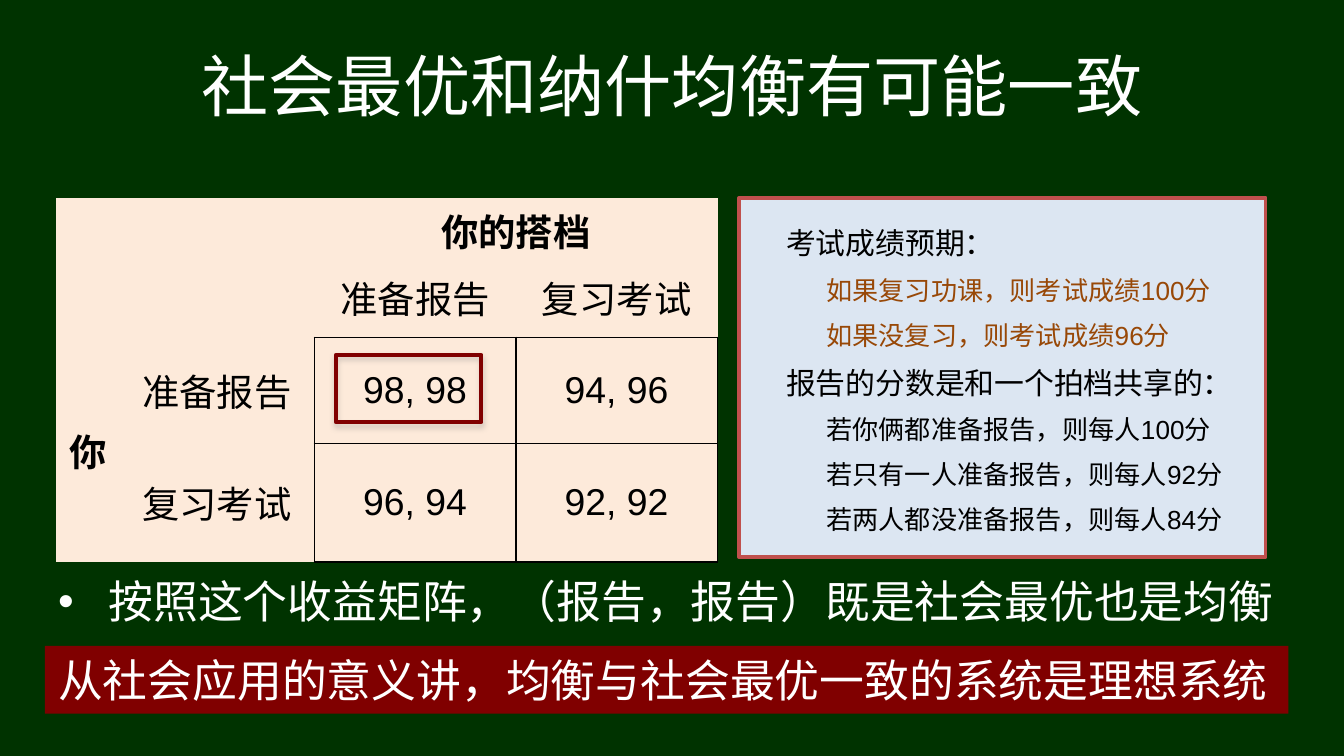
"""Build the slide on social optimum and Nash equilibrium."""
from dataclasses import dataclass

from lxml import etree
from pptx import Presentation
from pptx import util as u
from pptx.dml.color import RGBColor
from pptx.enum import shapes, text
from pptx.oxml import ns


@dataclass(frozen=True)
class Theme:
    font: str = "Arial"
    background: str = "003300"
    light: str = "FFFFFF"
    dark: str = "000000"
    matrix: str = "FDEADA"
    panel: str = "DCE6F2"
    panel_line: str = "C0504D"
    accent: str = "800000"
    exam: str = "984807"
    title: int = 36
    body: int = 24
    cell: int = 20
    heading: int = 16
    detail: int = 14


@dataclass(frozen=True)
class Box:
    left: float
    top: float
    width: float
    height: float

    def lengths(self) -> list:
        return [u.Cm(v) for v in (self.left, self.top, self.width, self.height)]


@dataclass(frozen=True)
class Note:
    words: str
    level: int
    color: str


T = Theme()
NOTES = [
    Note("考试成绩预期：", 1, T.dark),
    Note("如果复习功课，则考试成绩100分", 2, T.exam),
    Note("如果没复习，则考试成绩96分", 2, T.exam),
    Note("报告的分数是和一个拍档共享的：", 1, T.dark),
    Note("若你俩都准备报告，则每人100分", 2, T.dark),
    Note("若只有一人准备报告，则每人92分", 2, T.dark),
    Note("若两人都没准备报告，则每人84分", 2, T.dark),
]
MATRIX = [
    ["", "", "你的搭档", ""],
    ["", "", "准备报告", "复习考试"],
    ["你", "准备报告", "98, 98", "94, 96"],
    ["", "复习考试", "96, 94", "92, 92"],
]
COLUMNS = [1.2, 3.68, 3.81, 3.81]
ROWS = [1.1, 1.54, 2, 2.24]
NO_STYLE = "{2D5ABB26-0587-4C30-8999-92F81FD0307C}"


def child(parent, tag: str, **attributes):
    return etree.SubElement(parent, ns.qn(tag), attributes)


def write(p, words: str, *, size: int, color: str, bold: bool = False,
          align=text.PP_ALIGN.LEFT, level: int = 0, margin: float = 0,
          bullet: str = "", before: float = 0, spacing: float = 1) -> None:
    p.alignment, p.level, p.line_spacing = align, level, spacing
    if before:
        p.space_before = u.Pt(before)
    pPr = p._p.get_or_add_pPr()
    pPr.set("marL", str(u.Cm(margin)))
    pPr.set("indent", str(-u.Cm(margin) if bullet else 0))
    if bullet:
        child(pPr, "a:buFont", typeface=T.font)
        child(pPr, "a:buChar", char=bullet)
    r = p.add_run()
    r.text = words
    r.font.name, r.font.size, r.font.bold = T.font, u.Pt(size), bold
    r.font.color.rgb = RGBColor.from_string(color)


def add_text(s, box: Box, words: str, anchor=text.MSO_ANCHOR.TOP, **style) -> None:
    tf = s.shapes.add_textbox(*box.lengths()).text_frame
    tf.word_wrap, tf.vertical_anchor = True, anchor
    write(tf.paragraphs[0], words, color=T.light, **style)


def add_rect(s, box: Box, fill: str = "", line: str = "", width: float = 1):
    sp = s.shapes.add_shape(shapes.MSO_SHAPE.RECTANGLE, *box.lengths())
    sp.shadow.inherit = False
    if fill:
        sp.fill.solid()
        sp.fill.fore_color.rgb = RGBColor.from_string(fill)
    else:
        sp.fill.background()
    if line:
        sp.line.color.rgb = RGBColor.from_string(line)
        sp.line.width = u.Pt(width)
    else:
        sp.line.fill.background()
    sp.text_frame.vertical_anchor = text.MSO_ANCHOR.TOP
    return sp


def cell_sides(row: int, col: int) -> str:
    if row >= 2 and col >= 2:
        return "LRTB"
    if row == 1 and col >= 2:
        return "B"
    return "R" if row >= 2 and col == 1 else ""


def add_matrix(s, box: Box) -> None:
    frame = s.shapes.add_table(len(ROWS), len(COLUMNS), *box.lengths())
    table = frame.table
    table.first_row = table.horz_banding = False
    next(table._tbl.iter(ns.qn("a:tableStyleId"))).text = NO_STYLE
    for column, width in zip(table.columns, COLUMNS):
        column.width = u.Cm(width)
    for row, height in zip(table.rows, ROWS):
        row.height = u.Cm(height)
    table.cell(0, 2).merge(table.cell(0, 3))
    table.cell(2, 0).merge(table.cell(3, 0))
    for i, words_in_row in enumerate(MATRIX):
        for j, words in enumerate(words_in_row):
            cell = table.cell(i, j)
            cell.vertical_anchor = text.MSO_ANCHOR.MIDDLE
            cell.margin_top = cell.margin_bottom = u.Cm(0.1)
            for side in cell_sides(i, j):
                ln = child(cell._tc.get_or_add_tcPr(), f"a:ln{side}", w=str(u.Pt(1)))
                child(child(ln, "a:solidFill"), "a:srgbClr", val=T.dark)
            cell.fill.solid()
            cell.fill.fore_color.rgb = RGBColor.from_string(T.matrix)
            if words:
                write(cell.text_frame.paragraphs[0], words, size=T.cell, color=T.dark,
                      bold=cell.is_merge_origin, align=text.PP_ALIGN.CENTER)


def add_notes(s, box: Box) -> None:
    tf = add_rect(s, box, T.panel, T.panel_line, 2).text_frame
    tf.word_wrap = True
    tf.margin_left = tf.margin_right = 0
    tf.margin_top = tf.margin_bottom = u.Cm(0.38)
    for i, note in enumerate(NOTES):
        p = tf.add_paragraph() if i else tf.paragraphs[0]
        write(p, note.words, size=T.heading if note.level == 1 else T.detail,
              color=note.color, level=note.level, spacing=1.2,
              margin=0.89 if note.level == 1 else 1.65, before=3.8 if i else 0)


def add_highlight(s, box: Box) -> None:
    sp = add_rect(s, box, line=T.accent, width=2.25)
    effects = sp._element.spPr.find(ns.qn("a:effectLst"))
    shadow = child(effects, "a:outerShdw", blurRad=str(u.Pt(3.1)),
                   dist=str(u.Pt(1.8)), dir="5400000", rotWithShape="0")
    color = child(shadow, "a:srgbClr", val="808080")
    child(color, "a:alpha", val="35000")


def main() -> None:
    prs = Presentation()
    prs.slide_width, prs.slide_height = u.Cm(25.4), u.Cm(14.29)
    s = prs.slides.add_slide(prs.slide_layouts[6])
    s.background.fill.solid()
    s.background.fill.fore_color.rgb = RGBColor.from_string(T.background)
    add_text(s, Box(1.27, 0.58, 22.86, 2.06), "社会最优和纳什均衡有可能一致",
             text.MSO_ANCHOR.MIDDLE, size=T.title, align=text.PP_ALIGN.CENTER)
    add_text(s, Box(0.85, 10.72, 23.93, 1.7),
             "按照这个收益矩阵，（报告，报告）既是社会最优也是均衡",
             size=T.body, margin=0.95, bullet="•")
    add_matrix(s, Box(1.06, 3.74, sum(COLUMNS), sum(ROWS)))
    bar = add_rect(s, Box(0.85, 12.21, 23.5, 1.28), T.accent)
    bar.text_frame.word_wrap = True
    write(bar.text_frame.paragraphs[0],
          "从社会应用的意义讲，均衡与社会最优一致的系统是理想系统",
          size=T.body, color=T.light)
    add_notes(s, Box(13.97, 3.74, 9.95, 6.79))
    add_highlight(s, Box(6.35, 6.71, 2.75, 1.27))
    prs.save("out.pptx")


if __name__ == "__main__":
    main()
